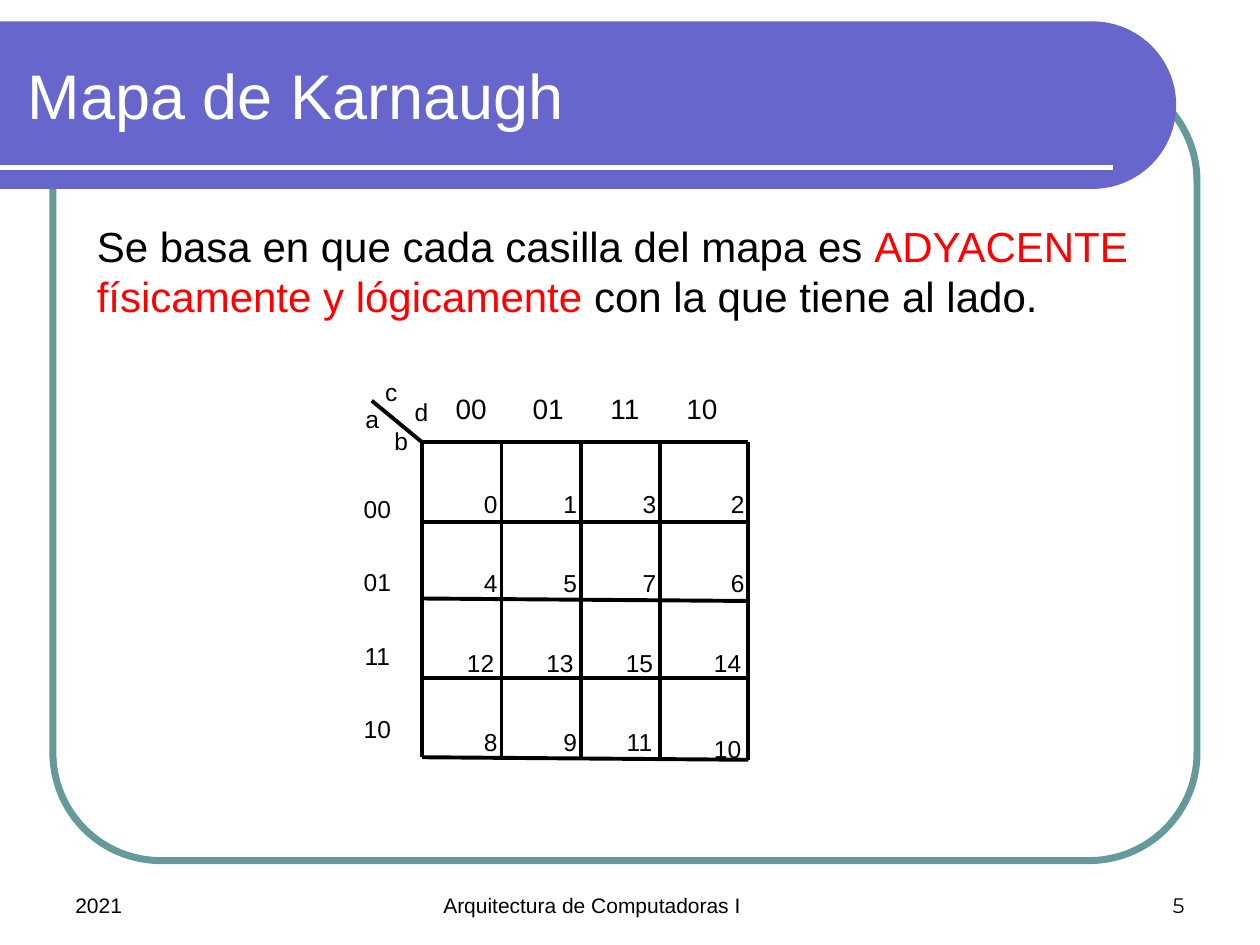
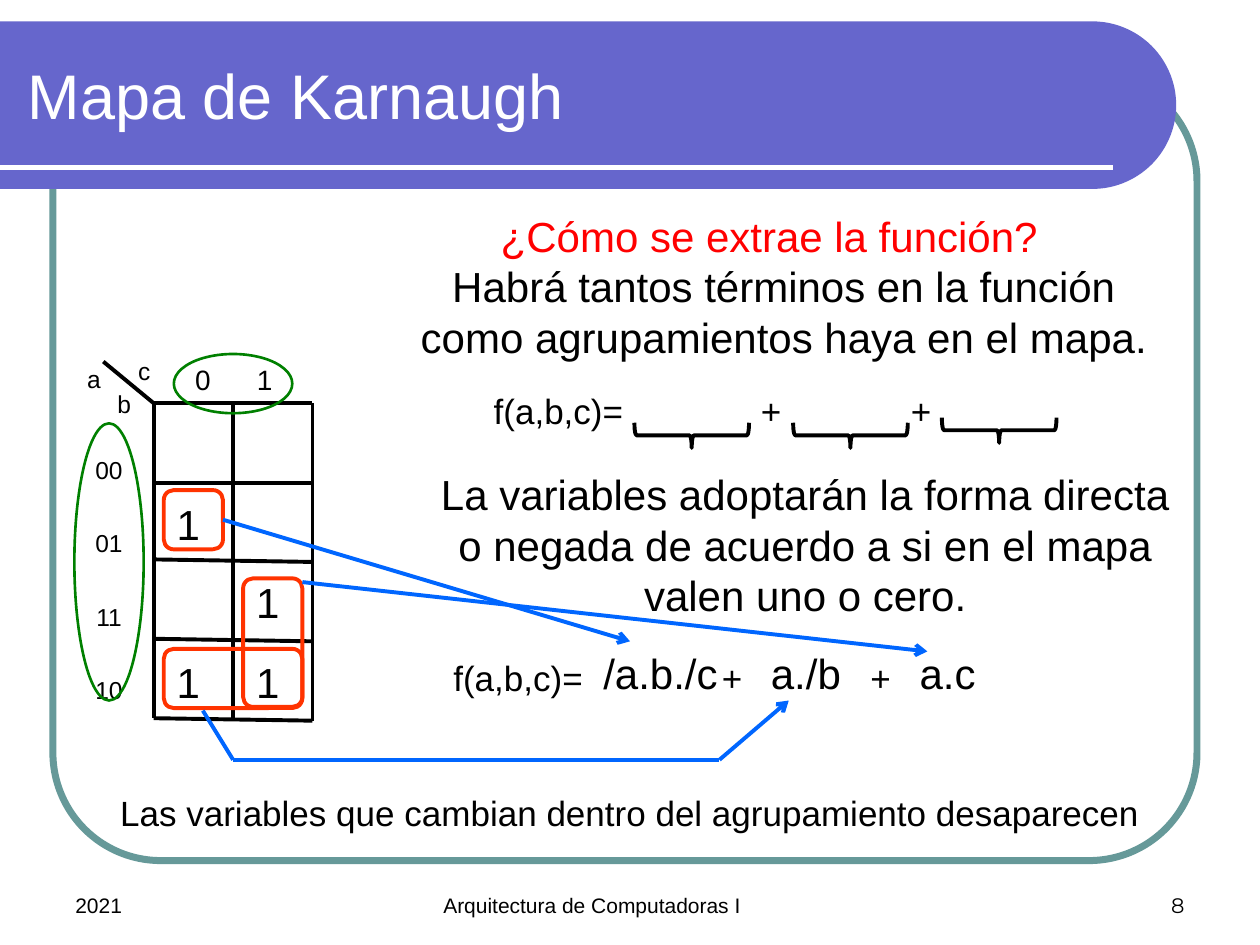
from itertools import pairwise
from math import cos, pi, sin

from lxml.etree import SubElement
from pptx import Presentation
from pptx.dml.color import RGBColor
from pptx.enum.shapes import MSO_CONNECTOR, MSO_SHAPE
from pptx.enum.text import MSO_ANCHOR, PP_ALIGN
from pptx.oxml.ns import qn
from pptx.util import Emu, Pt

PX = 9144  # EMU per px, 100 px to the inch
BLACK = RGBColor(0x00, 0x00, 0x00)
WHITE = RGBColor(0xFF, 0xFF, 0xFF)
RED = RGBColor(0xFF, 0x00, 0x00)
PURPLE = RGBColor(0x66, 0x66, 0xCC)
TEAL = RGBColor(0x66, 0x99, 0x99)
ORANGE = RGBColor(0xFF, 0x33, 0x00)
BLUE = RGBColor(0x00, 0x66, 0xFF)
GREEN = RGBColor(0x00, 0x80, 0x00)

FONT = "Arial"
NUMBER_FONT = "Montserrat"
CENTER = PP_ALIGN.CENTER
GRAY_CODE = (0, 1, 3, 2)
RIGHT_SIDE = 3


def px(*lengths):
    return [Emu(round(length * PX)) for length in lengths]


class Deck:
    def __init__(self):
        self.presentation = Presentation()
        self.presentation.slide_width, self.presentation.slide_height = px(1000, 750)
        self.layout = self.presentation.slide_layouts[5]
        self.slide = None

    def new_slide(self, title, number):
        is_first = self.slide is None
        self.slide = self.presentation.slides.add_slide(self.layout)
        if is_first:
            self.frame()
        shape = self.slide.shapes.title
        shape.left, shape.top, shape.width, shape.height = px(12, 25, 693, 100)
        self.fill_text(shape, [title], 36, WHITE, anchor=MSO_ANCHOR.MIDDLE)
        bottom = MSO_ANCHOR.BOTTOM
        self.text(717, 683, 233, 50, number, 12, align=PP_ALIGN.RIGHT,
                  anchor=bottom, font=NUMBER_FONT)
        self.text(342, 683, 317, 50, "Arquitectura de Computadoras I", 12, anchor=bottom)
        self.text(50, 683, 233, 50, "2021", 12, anchor=bottom)

    def frame(self):
        """Draw the border and title band, then move them to the layout."""
        border = self.outline(MSO_SHAPE.ROUNDED_RECTANGLE, 42, 58, 908, 625, TEAL, 4)
        border.adjustments[0] = 0.137
        band = self.band(867, 17, 150)
        rule = self.line((0, 133), (883, 133), WHITE, 3)
        tree = self.layout.shapes._spTree
        for index, shape in enumerate((border, band, rule), start=2):
            tree.insert(index, shape._element)

    def band(self, straight, top, bottom):
        """Bar from the left edge with a half-round right end."""
        radius = (bottom - top) / 2
        steps = 60
        angles = [pi * step / steps - pi / 2 for step in range(steps + 1)]
        arc = [px(straight + radius * cos(angle), top + radius * (1 + sin(angle)))
               for angle in angles]
        builder = self.slide.shapes.build_freeform(*px(0, top))
        builder.add_line_segments([*arc, px(0, bottom)], close=True)
        shape = builder.convert_to_shape()
        shape.shadow.inherit = False
        shape.fill.solid()
        shape.fill.fore_color.rgb = PURPLE
        shape.line.fill.background()
        return shape

    def fill_text(self, shape, paragraphs, size, color=BLACK, align=PP_ALIGN.LEFT,
                  anchor=MSO_ANCHOR.TOP, font=FONT, spacing=None):
        """A paragraph is a string or a list of (text, color) runs."""
        frame = shape.text_frame
        frame.word_wrap = True
        frame.vertical_anchor = anchor
        for index, content in enumerate(paragraphs):
            paragraph = frame.add_paragraph() if index else frame.paragraphs[0]
            paragraph.alignment = align
            paragraph.line_spacing = spacing
            paragraph.font.name = font
            paragraph.font.size = Pt(size)
            if isinstance(content, str):
                paragraph.font.color.rgb = color
                paragraph.add_run().text = content
                continue
            for words, run_color in content:
                run = paragraph.add_run()
                run.text = words
                run.font.color.rgb = run_color

    def text(self, left, top, width, height, content, size, **style):
        box = self.slide.shapes.add_textbox(*px(left, top, width, height))
        paragraphs = content if isinstance(content, list) else [content]
        self.fill_text(box, paragraphs, size, **style)

    def outline(self, kind, left, top, width, height, color, weight=2.25):
        shape = self.slide.shapes.add_shape(kind, *px(left, top, width, height))
        shape.shadow.inherit = False
        shape.fill.background()
        shape.line.color.rgb = color
        shape.line.width = Pt(weight)
        return shape

    def line(self, start, end, color=BLACK, weight=2.25, arrow=False):
        connector = self.slide.shapes.add_connector(
            MSO_CONNECTOR.STRAIGHT, *px(*start, *end))
        connector.line.color.rgb = color
        connector.line.width = Pt(weight)
        if arrow:
            SubElement(connector.get_or_add_ln(), qn("a:tailEnd"), type="arrow")
        SubElement(connector._element.spPr, qn("a:effectLst"))
        return connector

    def karnaugh_grid(self, columns, rows, variables, headings):
        """Rows are (left y, right y); variables and headings are (text, left, top)."""
        left, right = columns[0], columns[-1]
        top = rows[0][0]
        for x in columns:
            self.line((x, top), (x, rows[-1][x != left]))
        for left_y, right_y in rows:
            self.line((left, left_y), (right, right_y))
        self.line((left - 40, top - 33), (left, top))
        for name, x, y in variables:
            self.text(x, y, 47, 34, name, 14, align=CENTER)
        for heading, x, y in headings:
            self.text(x, y, 60, 37, heading, 16, align=CENTER)
        self.text(left - 63, top + 1, 55, 235, [f"{code:02b}" for code in GRAY_CODE],
                  14, align=CENTER, spacing=2.5)


def adjacency_slide(deck):
    deck.new_slide("Mapa de Karnaugh", "5")
    deck.text(67, 170, 843, 91, [[
        ("Se basa en que cada casilla del mapa es ", BLACK),
        ("ADYACENTE físicamente y lógicamente ", RED),
        ("con la que tiene al lado.", BLACK)]], 24)
    columns = (335, 398, 461, 524, 594)
    deck.karnaugh_grid(
        columns,
        rows=((351, 351), (414, 414), (475, 477), (538, 538), (601, 603)),
        variables=(("c", 287, 294), ("d", 311, 310), ("a", 272, 316), ("b", 295, 333)),
        headings=[(f"{code:02b}", 344 + 61 * index, 306)
                  for index, code in enumerate(GRAY_CODE)])
    for row, row_code in enumerate(GRAY_CODE):
        for right, column_code in zip(columns[1:], GRAY_CODE):
            number = 4 * row_code + column_code
            left = right - (32 if number < 10 else 40)
            top = 383 + 63 * row + (6 if number == 10 else 0)
            deck.text(left, top, 47, 34, str(number), 14, align=CENTER)


def extraction_slide(deck):
    deck.new_slide("Mapa de Karnaugh", "8")
    deck.karnaugh_grid(
        columns=(122, 185, 248),
        rows=((320, 320), (383, 383), (444, 446), (507, 509), (570, 572)),
        variables=(("c", 91, 278), ("a", 51, 284), ("b", 75, 304)),
        headings=(("0", 131, 283), ("1", 180, 283)))
    for left, top in ((122, 391), (122, 516), (185, 516), (185, 453)):
        deck.text(left, top, 55, 50, "1", 24, align=CENTER)
    rounded = MSO_SHAPE.ROUNDED_RECTANGLE
    deck.outline(rounded, 130, 515, 110, 47, ORANGE)
    deck.outline(rounded, 193, 459, 47, 102, ORANGE)
    single_group = deck.outline(rounded, 130, 389, 47, 47, ORANGE)

    deck.text(382, 162, 457, 50, "¿Cómo se extrae la función?", 24,
              color=RED, align=CENTER)
    deck.text(311, 202, 622, 91, "Habrá tantos términos en la función "
              "como agrupamientos haya en el mapa.", 24, align=CENTER)
    deck.text(328, 367, 622, 131, "La variables adoptarán la forma directa o negada "
              "de acuerdo a si en el mapa valen uno o cero.", 24, align=CENTER)
    for left, top, pluses in ((382, 304, (594, 713)), (350, 516, (563, 681))):
        deck.text(left, top, 150, 44, "f(a,b,c)=", 20)
        for plus_left in pluses:
            deck.text(plus_left, top, 39, 44, "+", 20)
    for left, top in ((539, 300), (665, 300), (783, 296)):
        brace = deck.outline(MSO_SHAPE.LEFT_BRACE, left, top, 20, 91, BLACK)
        brace.rotation = 270
    for term, left, width in (("/a.b./c", 469, 118), ("a./b", 602, 87), ("a.c", 720, 87)):
        deck.text(left, 509, width, 50, term, 24)

    arrow = deck.line((177, 412), (500, 509), BLUE, arrow=True)
    arrow.begin_connect(single_group, RIGHT_SIDE)
    deck.line((240, 462), (736, 517), BLUE, arrow=True)
    bend = ((161, 564), (185, 603), (571, 603), (626, 556))
    for start, end in pairwise(bend):
        deck.line(start, end, BLUE, arrow=end == bend[-1])
    deck.outline(MSO_SHAPE.OVAL, 138, 281, 94, 47, GREEN, 1.5)
    deck.outline(MSO_SHAPE.OVAL, 59, 336, 55, 220, GREEN, 1.5)
    deck.text(75, 623, 850, 44, "Las variables que cambian dentro del agrupamiento "
              "desaparecen", 20, align=CENTER)


def main():
    deck = Deck()
    adjacency_slide(deck)
    extraction_slide(deck)
    deck.presentation.save("out.pptx")


if __name__ == "__main__":
    main()
